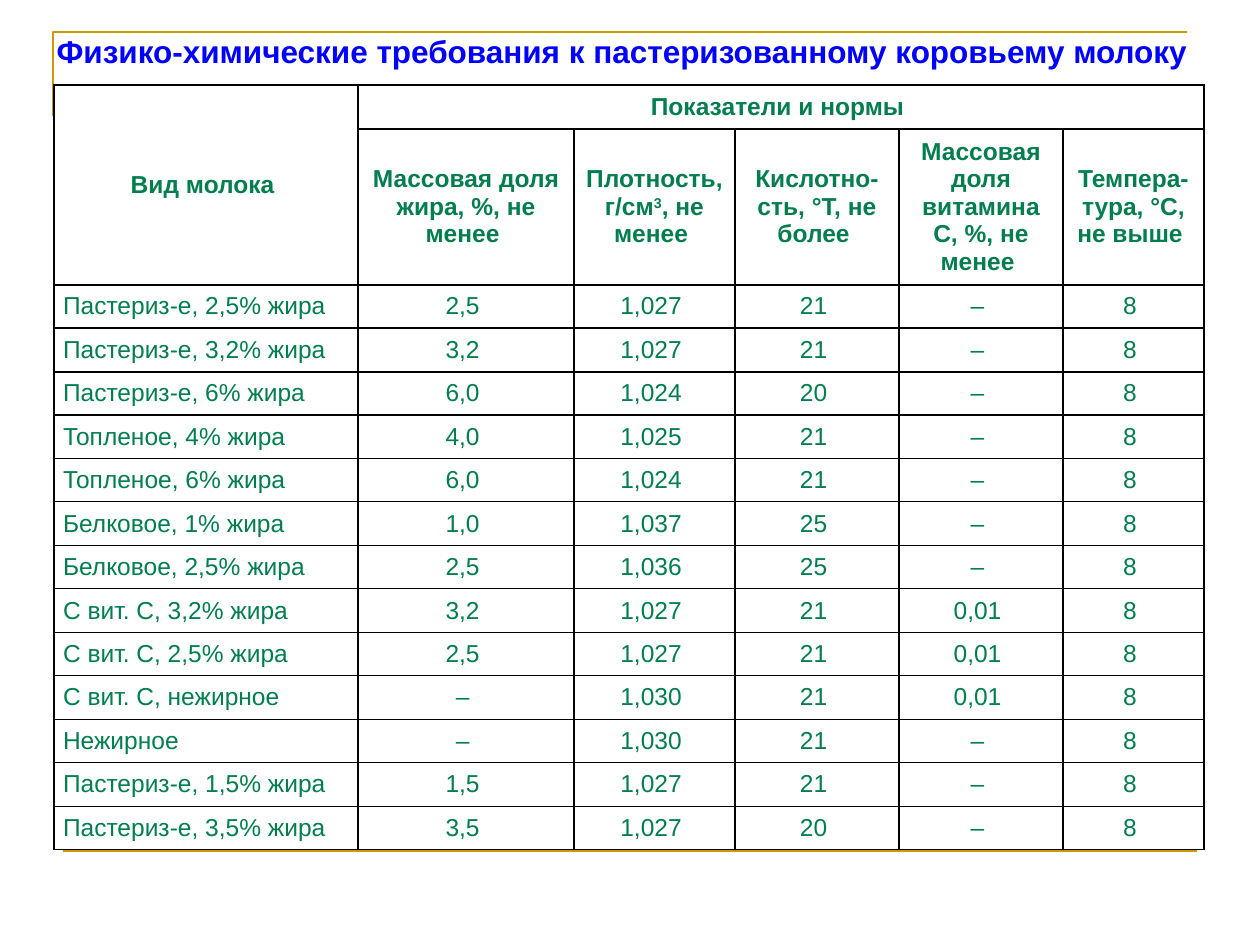
"""Build the slide with the physico-chemical requirements for pasteurised cow's milk."""
from lxml import etree
from pptx import Presentation
from pptx.dml.color import RGBColor
from pptx.enum.shapes import MSO_CONNECTOR
from pptx.enum.text import MSO_ANCHOR, PP_ALIGN
from pptx.oxml import parse_xml
from pptx.oxml.ns import nsdecls, qn
from pptx.util import Emu, Pt

STRAIGHT = MSO_CONNECTOR.STRAIGHT
MIDDLE = MSO_ANCHOR.MIDDLE
LEFT, CENTER = PP_ALIGN.LEFT, PP_ALIGN.CENTER
PX = 914400 / 126
GOLD, BLUE, GREEN, BLACK = "CC9900", "0000FF", "017D4E", "000000"


def px(length):
    return Emu(round(length * PX))


def add_run(paragraph, text, size, color, bold):
    run = paragraph.add_run()
    run.text = text
    run.font.name = "Arial"
    run.font.size = Pt(size)
    run.font.bold = bold
    run.font.color.rgb = RGBColor.from_string(color)
    return run


prs = Presentation()
prs.slide_width, prs.slide_height = px(1260), px(945)
slide = prs.slides.add_slide(prs.slide_layouts[5])

outline = slide.shapes.build_freeform(53, 116, scale=PX)
outline.add_line_segments([(53, 32), (1187, 32)], close=False)
corner = outline.convert_to_shape()
corner.shadow.inherit = False
corner.fill.background()

baseline = slide.shapes.add_connector(STRAIGHT, px(63), px(851), px(1197), px(851))
etree.SubElement(baseline._element.spPr, qn("a:effectLst"))

for rule in (corner, baseline):
    rule.line.color.rgb = RGBColor.from_string(GOLD)
    rule.line.width = Pt(1.5)

heading = slide.shapes.title
heading.left, heading.top, heading.width, heading.height = px(44), px(25), px(1201), px(51)
heading.text_frame.vertical_anchor = MIDDLE
heading.text_frame.word_wrap = True
heading_line = heading.text_frame.paragraphs[0]
heading_line.alignment = LEFT
add_run(heading_line, "Физико-химические требования к пастеризованному коровьему молоку", 18, BLUE, True)

indicators = [
    ["Массовая доля жира, %, не менее "],
    ["Плотность,г/см", "3", ", не менее "],
    ["Кислотно-сть, °Т, не более "],
    ["Массовая доля витамина С, %, не менее "],
    ["Темпера-тура, °С, не выше "],
]
milks = [
    ("Пастериз-е, 2,5% жира", "2,5", "1,027", "21", "–"),
    ("Пастериз-е, 3,2% жира", "3,2", "1,027", "21", "–"),
    ("Пастериз-е, 6% жира", "6,0", "1,024", "20", "–"),
    ("Топленое, 4% жира", "4,0", "1,025", "21", "–"),
    ("Топленое, 6% жира", "6,0", "1,024", "21", "–"),
    ("Белковое, 1% жира", "1,0", "1,037", "25", "–"),
    ("Белковое, 2,5% жира", "2,5", "1,036", "25", "–"),
    ("С вит. С, 3,2% жира", "3,2", "1,027", "21", "0,01"),
    ("С вит. С, 2,5% жира", "2,5", "1,027", "21", "0,01"),
    ("С вит. С, нежирное", "–", "1,030", "21", "0,01"),
    ("Нежирное", "–", "1,030", "21", "–"),
    ("Пастериз-е, 1,5% жира", "1,5", "1,027", "21", "–"),
    ("Пастериз-е, 3,5% жира", "3,5", "1,027", "20", "–"),
]
temperature = "8"

rows = [
    [["Вид молока "], ["Показатели и нормы "], [], [], [], []],
    [[], *indicators],
]
for milk, *norms in milks:
    rows.append([[milk]] + [[f"{norm} "] for norm in (*norms, temperature)])

column_widths = [304, 216, 161, 164, 164, 141]
body_top, body_height = 285, 565
body_edges = [body_top + round(body_height * i / len(milks)) for i in range(len(milks) + 1)]
row_edges = [85, 129, *body_edges]

requirements = slide.shapes.add_table(
    len(rows), len(column_widths), px(54), px(row_edges[0]),
    px(sum(column_widths)), px(row_edges[-1] - row_edges[0])).table
requirements.first_row = requirements.horz_banding = False
for column, width in zip(requirements.columns, column_widths):
    column.width = px(width)
for row, top, bottom in zip(requirements.rows, row_edges, row_edges[1:]):
    row.height = px(bottom - top)
requirements.cell(0, 0).merge(requirements.cell(1, 0))
requirements.cell(0, 1).merge(requirements.cell(0, 5))

for r, row in enumerate(rows):
    for c, parts in enumerate(row):
        cell = requirements.cell(r, c)
        cell.vertical_anchor = MIDDLE
        cell.margin_left = cell.margin_right = px(9)
        cell.margin_top = cell.margin_bottom = px(5)
        for side in ("lnL", "lnR", "lnT", "lnB"):
            cell._tc.get_or_add_tcPr().append(parse_xml(
                f'<a:{side} {nsdecls("a")} w="{Pt(1)}"><a:solidFill>'
                f'<a:srgbClr val="{BLACK}"/></a:solidFill></a:{side}>'))
        cell.fill.background()
        is_header = r < 2
        entry = cell.text_frame.paragraphs[0]
        entry.alignment = CENTER if is_header or c else LEFT
        entry.space_after = Pt(10)
        for part in parts:
            run = add_run(entry, part, 14, GREEN, is_header)
            if part == "3":
                run.font._element.set("baseline", "30000")

prs.save("out.pptx")
